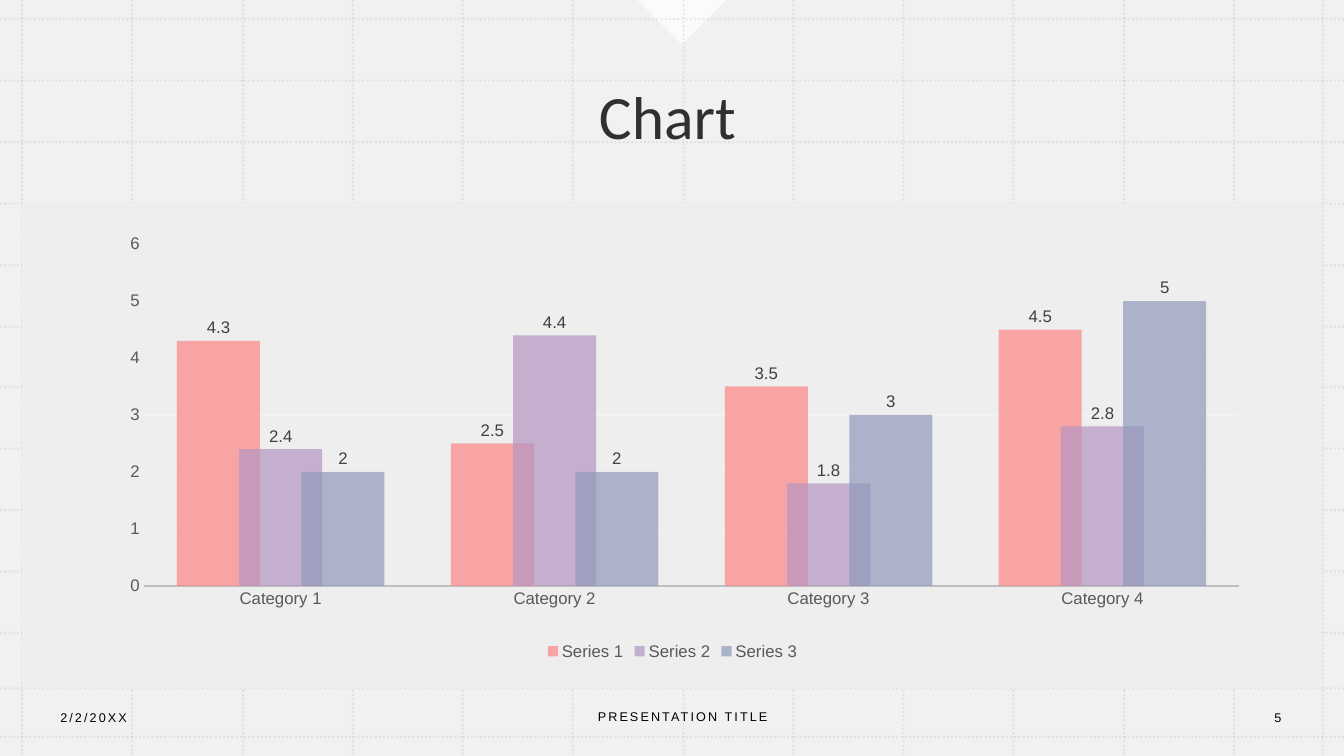
import dataclasses

import pptx
import pptx.chart.data
import pptx.dml.color
import pptx.enum.chart
import pptx.enum.dml
import pptx.enum.shapes
import pptx.enum.text
import pptx.oxml
import pptx.oxml.ns
import pptx.util
from lxml import etree


@dataclasses.dataclass(frozen=True)
class Theme:
    panel: str = "EEEEEE"
    white: str = "FFFFFF"
    black: str = "000000"
    grid: str = "B495C2"
    axis_text: str = "595959"
    label_text: str = "404040"
    axis_line: str = "BFBFBF"
    value_grid: str = "F2F2F2"
    series: tuple = ("FD8686", "B495C2", "8F99BB")
    heading_font: str = "Calibri"
    body_font: str = "Arial"
    title_size: int = 44
    chart_size: int = 12
    footer_size: int = 9


theme = Theme()
PX = 9144
WIDTH, HEIGHT = 1333, 750


def paint(target, color, opacity=100):
    if hasattr(target, "solid"):
        target.solid()
        target = target.fore_color
    target.rgb = pptx.dml.color.RGBColor.from_string(color)
    if opacity < 100:
        for node in target._xFill.iter(pptx.oxml.ns.qn("a:srgbClr")):
            alpha = etree.SubElement(node, pptx.oxml.ns.qn("a:alpha"))
            alpha.set("val", str(opacity * 1000))


def set_font(font, size, color, name=theme.body_font, opacity=100):
    font.size = pptx.util.Pt(size)
    font.name = name
    paint(font.fill, color, opacity)


deck = pptx.Presentation()
deck.slide_width, deck.slide_height = WIDTH * PX, HEIGHT * PX
page = deck.slides.add_slide(deck.slide_layouts[5])
shapes = page.shapes
shape_kinds = pptx.enum.shapes.MSO_SHAPE

backdrop = (shape_kinds.RECTANGLE, (0, 0, 1335, 750), 0, theme.panel, 80)
pointer = (shape_kinds.RIGHT_TRIANGLE, (645, -31, 62, 62), 315, theme.white, 75)
chart_panel = (shape_kinds.RECTANGLE, (22, 201, 1289, 482), 0, theme.panel, 100)

grid_lines = [(x, 0, x, HEIGHT) for x in [round(22 + 109.27 * step) for step in range(12)] + [1312]]
grid_lines += [(0, y, WIDTH, y) for y in [round(19 + 60.9 * step) for step in range(11)] + [683, 731]]

for kind, frame, rotation, color, opacity in (backdrop, pointer, chart_panel):
    if kind == shape_kinds.RECTANGLE and opacity == 100:
        for ends in grid_lines:
            line = shapes.add_connector(
                pptx.enum.shapes.MSO_CONNECTOR.STRAIGHT, *[end * PX for end in ends])
            paint(line.line.fill, theme.grid, 20)
            line.line.width = pptx.util.Pt(1.5)
            line.line.dash_style = pptx.enum.dml.MSO_LINE.ROUND_DOT
            etree.SubElement(line.element.spPr, pptx.oxml.ns.qn("a:effectLst"))
    box = shapes.add_shape(kind, *[length * PX for length in frame])
    box.rotation = rotation
    box.shadow.inherit = False
    paint(box.fill, color, opacity)
    box.line.fill.background()

title = shapes.title
title.left, title.top, title.width, title.height = [length * PX for length in (33, 37, 1258, 164)]
title.text_frame.text = "Chart"
title.text_frame.vertical_anchor = pptx.enum.text.MSO_ANCHOR.MIDDLE
para = title.text_frame.paragraphs[0]
para.alignment = pptx.enum.text.PP_ALIGN.CENTER
para.line_spacing = 0.9
set_font(para.font, theme.title_size, theme.black, theme.heading_font, 80)
shapes.element.append(title.element)

chart_data = pptx.chart.data.CategoryChartData()
chart_data.categories = [f"Category {number}" for number in range(1, 5)]
chart_data.add_series("Series 1", (4.3, 2.5, 3.5, 4.5))
chart_data.add_series("Series 2", (2.4, 4.4, 1.8, 2.8))
chart_data.add_series("Series 3", (2, 2, 3, 5))
chart = shapes.add_chart(
    pptx.enum.chart.XL_CHART_TYPE.COLUMN_CLUSTERED,
    *[length * PX for length in (92, 232, 1150, 427)], chart_data).chart
set_font(chart.font, theme.chart_size, theme.axis_text)
chart.has_title = False
chart.has_legend = True
chart.legend.position = pptx.enum.chart.XL_LEGEND_POSITION.BOTTOM
chart.legend.include_in_layout = False
set_font(chart.legend.font, theme.chart_size, theme.axis_text)

plot = chart.plots[0]
plot.gap_width = 80
plot.overlap = 25
plot.vary_by_categories = False
for series, color in zip(plot.series, theme.series):
    paint(series.format.fill, color, 70)
    series.invert_if_negative = False
    labels = series.data_labels
    labels.show_value = True
    labels.position = pptx.enum.chart.XL_LABEL_POSITION.OUTSIDE_END
    set_font(labels.font, theme.chart_size, theme.label_text)

for axis in (chart.category_axis, chart.value_axis):
    axis.major_tick_mark = pptx.enum.chart.XL_TICK_MARK.NONE
    axis.minor_tick_mark = pptx.enum.chart.XL_TICK_MARK.NONE
    set_font(axis.tick_labels.font, theme.chart_size, theme.axis_text)
paint(chart.category_axis.format.line.fill, theme.axis_line)
chart.category_axis.format.line.width = pptx.util.Pt(1.25)
value_axis = chart.value_axis
value_axis.minimum_scale, value_axis.maximum_scale, value_axis.major_unit = 0, 6, 1
value_axis.format.line.fill.background()
value_axis.has_major_gridlines = True
paint(value_axis.major_gridlines.format.line.fill, theme.value_grid)
value_axis.major_gridlines.format.line.width = pptx.util.Pt(0.75)

plot_area = chart._chartSpace.chart.plotArea
for old_layout in plot_area.findall(pptx.oxml.ns.qn("c:layout")):
    plot_area.remove(old_layout)
layout = etree.Element(pptx.oxml.ns.qn("c:layout"))
plot_area.insert(0, layout)
manual = etree.SubElement(layout, pptx.oxml.ns.qn("c:manualLayout"))
for tag, value in (("layoutTarget", "inner"), ("xMode", "edge"), ("yMode", "edge"),
                   ("x", "0.044"), ("y", "0.024"), ("w", "0.945"), ("h", "0.794")):
    etree.SubElement(manual, pptx.oxml.ns.qn(f"c:{tag}")).set("val", value)

align = pptx.enum.text.PP_ALIGN
for words, frame, alignment in (
        ("2/2/20XX", (50, 692, 280, 40), align.LEFT),
        ("PRESENTATION TITLE", (459, 691, 436, 40), align.CENTER),
        ("5", (1224, 692, 87, 40), align.CENTER)):
    box = shapes.add_textbox(*[length * PX for length in frame])
    box.text_frame.word_wrap = True
    box.text_frame.vertical_anchor = pptx.enum.text.MSO_ANCHOR.MIDDLE
    para = box.text_frame.paragraphs[0]
    para.text = words
    para.alignment = alignment
    set_font(para.font, theme.footer_size, theme.black)
    para.font._element.set("spc", "150")

deck.save("out.pptx")
